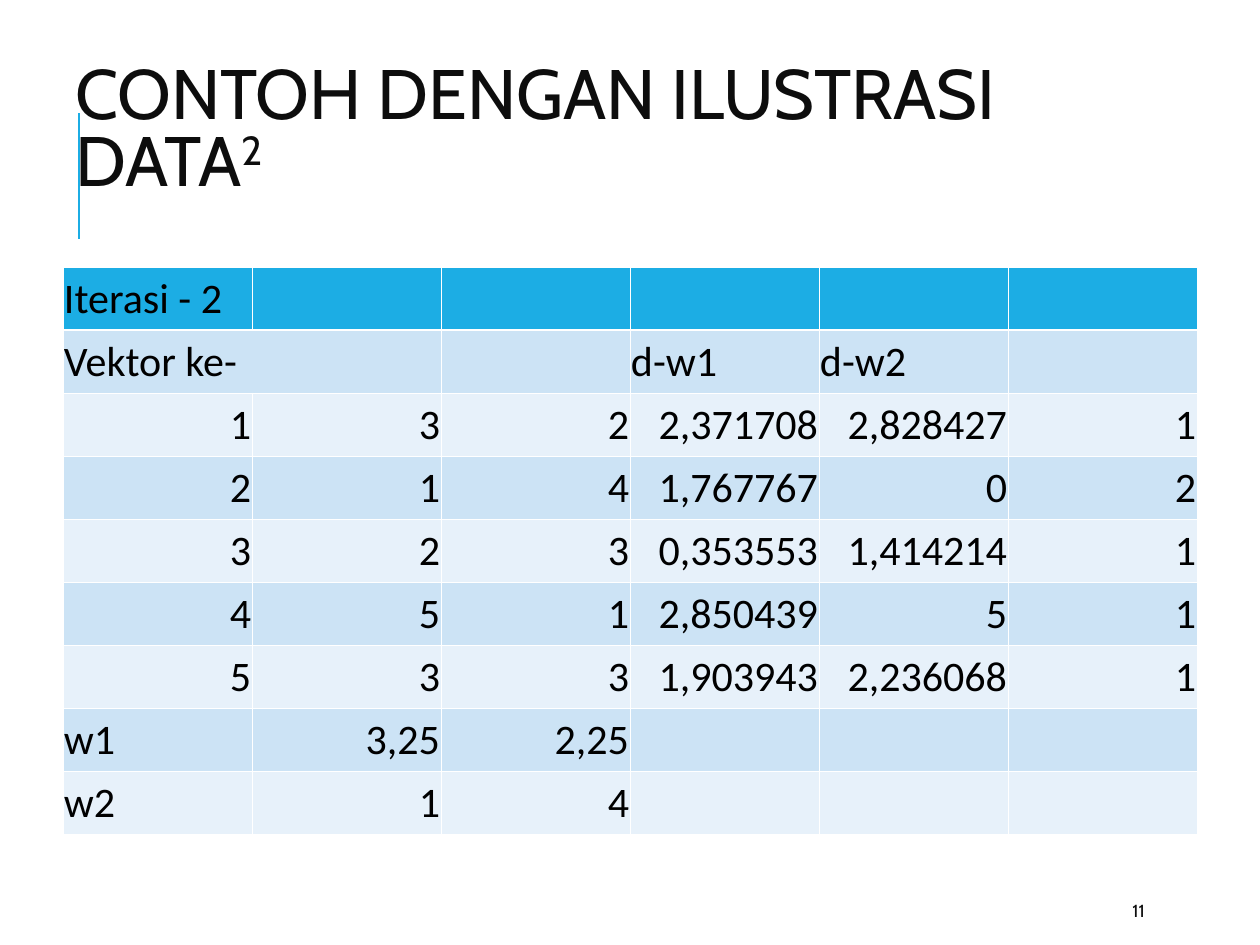
from lxml import etree
from pptx import Presentation
from pptx import util as u
from pptx.dml.color import RGBColor
from pptx.enum import shapes, text
from pptx.oxml import ns

PX_PER_INCH = 126
HEADER, BANDS = "1CADE4", ("CCE3F5", "E7F1FA")
INK, BLACK, WHITE = "0D0D0D", "000000", "FFFFFF"
COLUMN_WIDTH, ROW_HEIGHT = 189, 52
ROWS = [
    ["Iterasi - 2", "", "", "", "", ""],
    ["Vektor ke-", "", "", "d-w1", "d-w2", ""],
    ["1", "3", "2", "2,371708", "2,828427", "1"],
    ["2", "1", "4", "1,767767", "0", "2"],
    ["3", "2", "3", "0,353553", "1,414214", "1"],
    ["4", "5", "1", "2,850439", "5", "1"],
    ["5", "3", "3", "1,903943", "2,236068", "1"],
    ["w1", "3,25", "2,25", "", "", ""],
    ["w2", "1", "4", "", "", ""],
]


def px(length):
    """Turn pixels into EMU."""
    return u.Emu(round(length * 914400 / PX_PER_INCH))


def color(value):
    """Turn a hex string into a colour."""
    return RGBColor.from_string(value)


def style_font(font, name, size, ink):
    """Set typeface, point size and colour."""
    font.name, font.size = name, u.Pt(size)
    font.color.rgb = color(ink)


def add_text(page, place, words, size):
    """Add a wrapped, vertically centred text box and return its paragraph."""
    frame = page.shapes.add_textbox(*map(px, place)).text_frame
    frame.word_wrap = True
    frame.vertical_anchor = text.MSO_ANCHOR.MIDDLE
    frame.text = words
    para = frame.paragraphs[0]
    style_font(para.runs[0].font, "Cabin", size, INK)
    return para


def add_title(page):
    """Add the heading with its raised number."""
    para = add_text(page, (63, 97, 1134, 71), "CONTOH DENGAN ILUSTRASI DATA", 40)
    para.line_spacing = 0.8
    span = para.add_run()
    span.text = "2"
    style_font(span.font, "Cabin", 40, INK)
    span._r.get_or_add_rPr().set("baseline", "30000")


def add_accent_line(page):
    """Add the vertical line beside the heading."""
    line = page.shapes.add_connector(
        shapes.MSO_CONNECTOR.STRAIGHT, px(79), px(239), px(79), px(113))
    line.line.color.rgb = color(HEADER)
    line.line.width = u.Pt(1.5)
    etree.SubElement(line._element.spPr, ns.qn("a:effectLst"))


def add_border(cell, side, points):
    """Draw one white edge of a cell."""
    edge = etree.SubElement(
        cell._tc.get_or_add_tcPr(), ns.qn(f"a:ln{side}"), w=str(u.Pt(points)))
    fill = etree.SubElement(edge, ns.qn("a:solidFill"))
    etree.SubElement(fill, ns.qn("a:srgbClr"), val=WHITE)


def fill_cell(cell, row, words):
    """Set the borders, fill and text of one cell."""
    thick_side = {0: "B", 1: "T"}.get(row)
    for side in "LRTB":
        add_border(cell, side, 1.47 if side == thick_side else 0.45)
    cell.fill.solid()
    cell.fill.fore_color.rgb = color(BANDS[(row - 1) % 2] if row else HEADER)
    cell.margin_left = cell.margin_right = px(1)
    cell.vertical_anchor = text.MSO_ANCHOR.BOTTOM
    if words:
        cell.text_frame.text = words
        para = cell.text_frame.paragraphs[0]
        if words[0].isdigit():
            para.alignment = text.PP_ALIGN.RIGHT
        style_font(para.runs[0].font, "Calibri", 24, BLACK)


def add_iteration_table(page):
    """Add the table of vectors, distances and weights."""
    count, columns = len(ROWS), len(ROWS[0])
    table = page.shapes.add_table(
        count, columns, px(63), px(267),
        px(COLUMN_WIDTH * columns), px(ROW_HEIGHT * count)).table
    table.first_row = table.horz_banding = False
    for column in table.columns:
        column.width = px(COLUMN_WIDTH)
    for row, values in enumerate(ROWS):
        table.rows[row].height = px(ROW_HEIGHT)
        for column, words in enumerate(values):
            fill_cell(table.cell(row, column), row, words)
    table.cell(1, 0).merge(table.cell(1, 1))


def main():
    """Build and save the slide."""
    deck = Presentation()
    deck.slide_width, deck.slide_height = px(1260), px(945)
    page = deck.slides.add_slide(deck.slide_layouts[6])
    add_accent_line(page)
    add_title(page)
    add_iteration_table(page)
    add_text(page, (1120, 892, 101, 38), "11", 10)
    deck.save("out.pptx")


if __name__ == "__main__":
    main()
